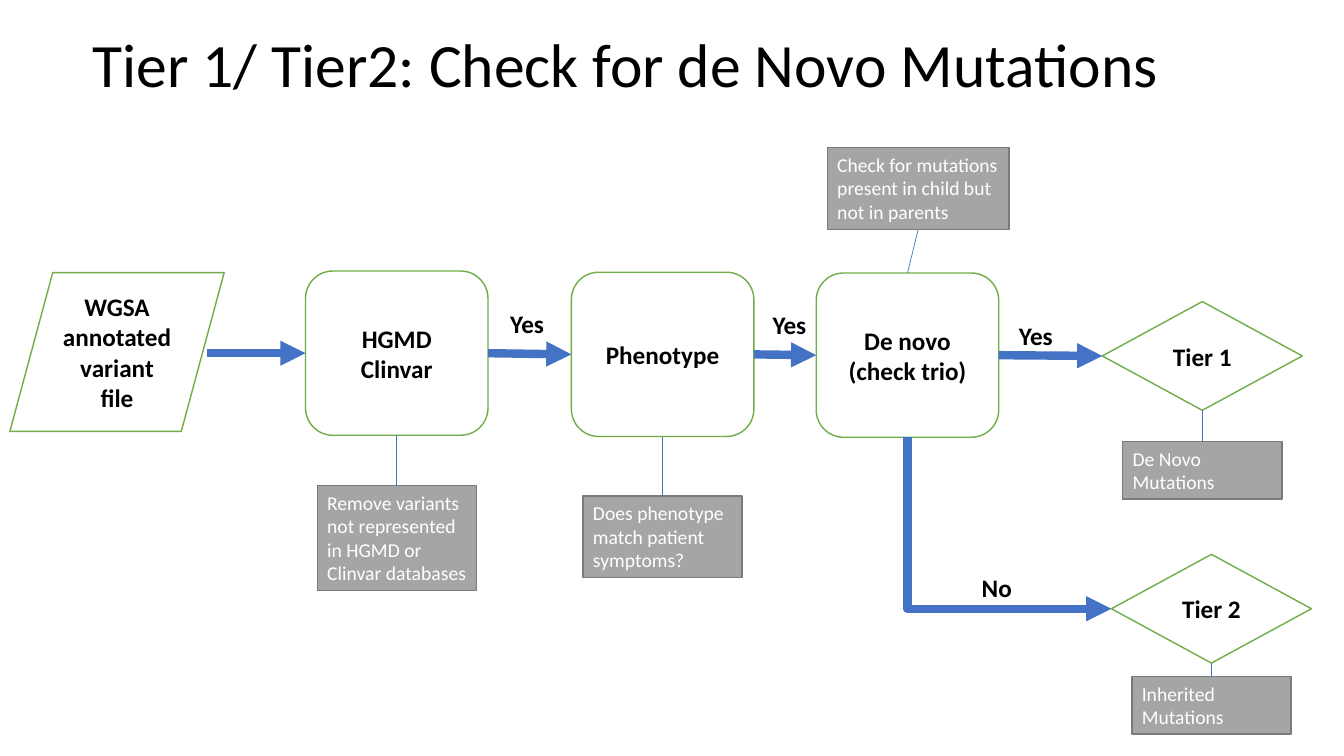
from dataclasses import dataclass

from lxml import etree
from pptx import Presentation
from pptx.dml.color import RGBColor
from pptx.enum.shapes import MSO_CONNECTOR, MSO_SHAPE
from pptx.enum.text import MSO_ANCHOR, MSO_AUTO_SIZE, PP_ALIGN
from pptx.oxml.ns import qn
from pptx.util import Cm, Pt

ROUNDED = MSO_SHAPE.ROUNDED_RECTANGLE
DIAMOND = MSO_SHAPE.FLOWCHART_DECISION
DATA = MSO_SHAPE.FLOWCHART_DATA
RECT = MSO_SHAPE.RECTANGLE
STRAIGHT, ELBOW = MSO_CONNECTOR.STRAIGHT, MSO_CONNECTOR.ELBOW
TOP, MIDDLE = MSO_ANCHOR.TOP, MSO_ANCHOR.MIDDLE
LEFT, CENTER = PP_ALIGN.LEFT, PP_ALIGN.CENTER
FIT = MSO_AUTO_SIZE.SHAPE_TO_FIT_TEXT
SITE_TOP, SITE_LEFT, SITE_BOTTOM, SITE_RIGHT = range(4)


@dataclass(frozen=True)
class Theme:
    font: str = "Calibri"
    ink: str = "000000"
    paper: str = "FFFFFF"
    outline: str = "70AD47"
    note: str = "A5A5A5"
    note_edge: str = "7A7A7A"
    link: str = "4472C4"
    title_size: float = 44
    body_size: float = 18
    note_size: float = 14
    edge_width: float = 1
    link_width: float = 0.5
    arrow_width: float = 6


class FlowSlide:
    def __init__(self, s, theme):
        self.s = s
        self.theme = theme

    def add_text(self, sp, lines, size, color, bold=False, align=LEFT, anchor=TOP):
        tf = sp.text_frame
        tf.word_wrap = True
        tf.vertical_anchor = anchor
        for i, line in enumerate(lines):
            p = tf.paragraphs[0] if i == 0 else tf.add_paragraph()
            p.alignment = align
            r = p.add_run()
            r.text = line
            r.font.name = self.theme.font
            r.font.size = Pt(size)
            r.font.bold = bold
            r.font.color.rgb = RGBColor.from_string(color)
        return tf

    def title(self, text, x, y, w, h):
        sp = self.s.shapes.add_textbox(Cm(x), Cm(y), Cm(w), Cm(h))
        tf = self.add_text(sp, [text], self.theme.title_size, self.theme.ink, anchor=MIDDLE)
        tf.paragraphs[0].line_spacing = 0.9

    def label(self, text, x, y, w, align=CENTER):
        sp = self.s.shapes.add_textbox(Cm(x), Cm(y), Cm(w), Cm(1.03))
        tf = self.add_text(sp, [text], self.theme.body_size, self.theme.ink, True, align)
        tf.auto_size = FIT

    def box(self, kind, x, y, w, h, fill, edge):
        sp = self.s.shapes.add_shape(kind, x, y, w, h)
        sp.shadow.inherit = False
        sp.fill.solid()
        sp.fill.fore_color.rgb = RGBColor.from_string(fill)
        sp.line.color.rgb = RGBColor.from_string(edge)
        sp.line.width = Pt(self.theme.edge_width)
        return sp

    def node(self, kind, lines, x, y, w, h):
        t = self.theme
        sp = self.box(kind, Cm(x), Cm(y), Cm(w), Cm(h), t.paper, t.outline)
        self.add_text(sp, lines, t.body_size, t.ink, True, CENTER, MIDDLE)
        return sp

    def note(self, node, text, y, h, w=4.01, shift=0):
        t = self.theme
        x = node.left + (node.width - Cm(w)) // 2 + Cm(shift)
        sp = self.box(RECT, x, Cm(y), Cm(w), Cm(h), t.note, t.note_edge)
        self.add_text(sp, [text], t.note_size, t.paper).auto_size = FIT
        if sp.top < node.top:
            self.connect(node, SITE_TOP, sp, SITE_BOTTOM, t.link_width)
        else:
            self.connect(node, SITE_BOTTOM, sp, SITE_TOP, t.link_width)

    def connect(self, start, start_site, end, end_site, width, kind=STRAIGHT):
        c = self.s.shapes.add_connector(kind, 0, 0, 0, 0)
        if isinstance(start, tuple):
            c.begin_x, c.begin_y = start
        else:
            c.begin_connect(start, start_site)
        c.end_connect(end, end_site)
        c.line.color.rgb = RGBColor.from_string(self.theme.link)
        c.line.width = Pt(width)
        etree.SubElement(c._element.spPr, qn("a:effectLst"))
        return c

    def arrow(self, start, end, start_site=SITE_RIGHT, kind=STRAIGHT):
        c = self.connect(start, start_site, end, SITE_LEFT, self.theme.arrow_width, kind)
        ln = c._element.spPr.find(qn("a:ln"))
        etree.SubElement(ln, qn("a:tailEnd"), type="triangle")
        return c

    def down_then_right(self, start, end):
        c = self.arrow(start, end, SITE_BOTTOM, ELBOW)
        w, h = c.width, c.height
        c.left, c.top = c.left + (w - h) // 2, c.top + (h - w) // 2
        c.width, c.height = h, w
        spPr = c._element.spPr
        spPr.find(qn("a:prstGeom")).set("prst", "bentConnector2")
        xfrm = spPr.find(qn("a:xfrm"))
        xfrm.set("rot", str(270 * 60000))
        xfrm.set("flipH", "1")


prs = Presentation()
prs.slide_width, prs.slide_height = Cm(33.87), Cm(19.05)
flow = FlowSlide(prs.slides.add_slide(prs.slide_layouts[6]), Theme())

flow.title("Tier 1/ Tier2: Check for de Novo Mutations", 2.08, -0.13, 29.21, 3.68)

STEP = (4.6, 4.14)
TIER = (5.04, 2.74)
variants = flow.node(DATA, ["WGSA annotated variant file"], 0.25, 6.87, 5.4, 4)
hgmd = flow.node(ROUNDED, ["HGMD", "Clinvar"], 7.7, 6.83, *STEP)
phenotype = flow.node(ROUNDED, ["Phenotype"], 14.4, 6.86, *STEP)
de_novo = flow.node(ROUNDED, ["De novo", "(check trio)"], 20.57, 6.88, *STEP)
tier1 = flow.node(DIAMOND, ["Tier 1"], 27.78, 7.6, *TIER)
tier2 = flow.node(DIAMOND, ["Tier 2"], 28.01, 13.97, *TIER)

flow.note(hgmd, "Remove variants not represented in HGMD or Clinvar databases", 12.24, 2.64)
flow.note(phenotype, "Does phenotype match patient symptoms?", 12.5, 2.06)
flow.note(de_novo, "Check for mutations present in child but not in parents", 3.72, 2.06, 4.58, 0.27)
flow.note(tier1, "De Novo Mutations", 11.13, 1.45)
flow.note(tier2, "Inherited Mutations", 17.05, 1.45)

flow.arrow((Cm(5.21), hgmd.top + hgmd.height // 2), hgmd)
for start, end in ((hgmd, phenotype), (phenotype, de_novo), (de_novo, tier1)):
    flow.arrow(start, end)
flow.down_then_right(de_novo, tier2)

flow.label("Yes", 11.76, 7.65, 3.05)
flow.label("Yes", 18.64, 7.67, 2.51)
flow.label("Yes", 25.43, 7.95, 1.47, LEFT)
flow.label("No", 24.49, 14.3, 1.37, LEFT)

prs.save("out.pptx")
